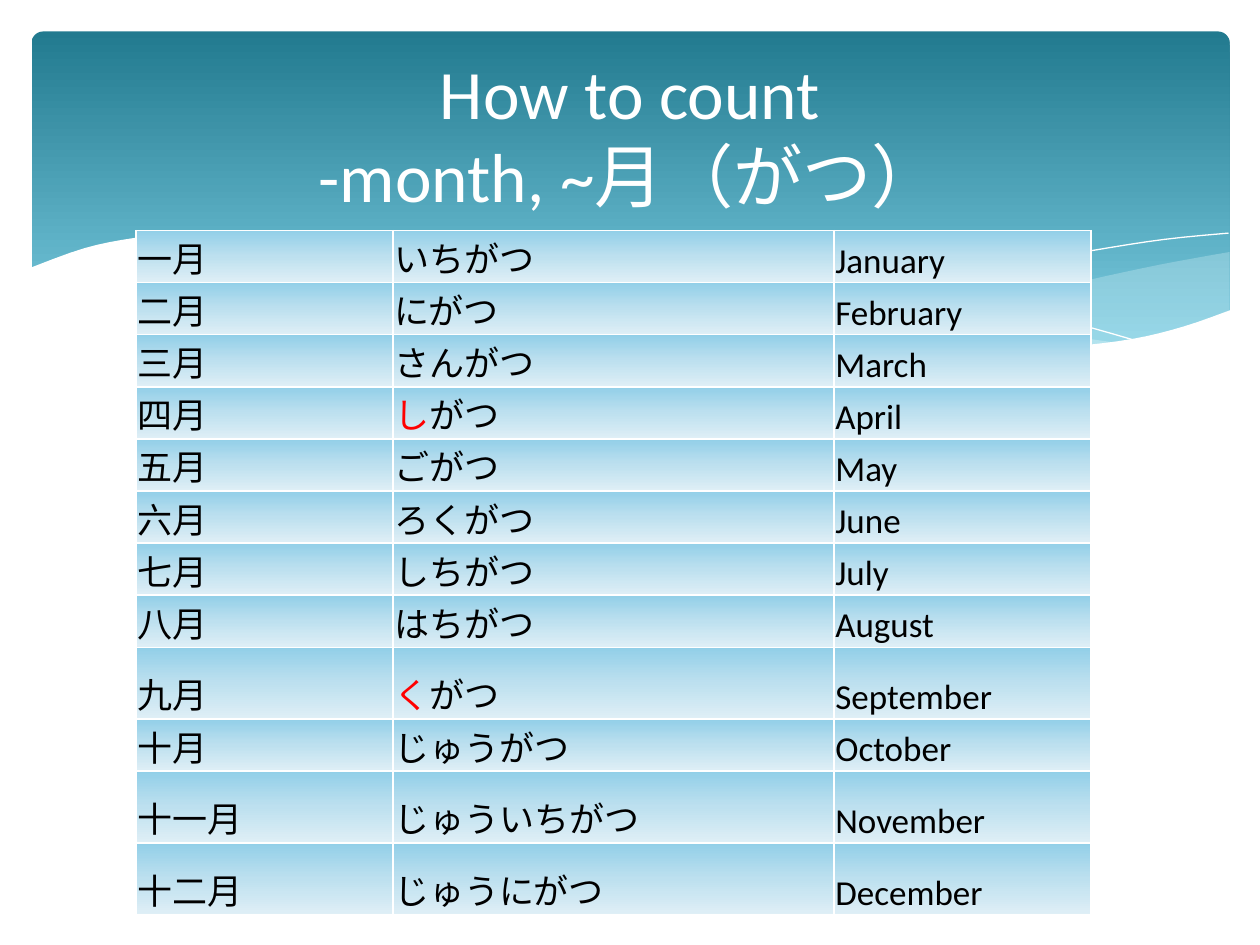
import pptx
import pptx.dml.color
import pptx.enum.shapes
import pptx.enum.text
import pptx.oxml
import pptx.oxml.ns
import pptx.util
from pptx.util import Inches

COLORS = {
    "white": "FFFFFF", "black": "000000", "red": "FF0000", "wave": "DEF5FA",
    "banner_top": "227A8F", "banner_bottom": "7ACBE0",
    "cell_top": "92CFE8", "cell_middle": "BDE0EF", "cell_bottom": "DFEFF6",
}
FONT = "Calibri"
BANNER_STOPS = {0: "banner_top", 90: "banner_bottom"}
CELL_STOPS = {0: "cell_top", 50: "cell_middle", 100: "cell_bottom"}

MONTHS = [
    ("一月", "いちがつ", "January"), ("二月", "にがつ", "February"),
    ("三月", "さんがつ", "March"), ("四月", "しがつ", "April"),
    ("五月", "ごがつ", "May"), ("六月", "ろくがつ", "June"),
    ("七月", "しちがつ", "July"), ("八月", "はちがつ", "August"),
    ("九月", "くがつ", "September"), ("十月", "じゅうがつ", "October"),
    ("十一月", "じゅういちがつ", "November"), ("十二月", "じゅうにがつ", "December"),
]
IRREGULAR_READINGS = {"しがつ", "くがつ"}
TALL_MONTHS = {"September", "November", "December"}
ROW_HEIGHT, TALL_ROW_HEIGHT = 0.38, 0.57
COLUMN_WIDTHS = [2.04, 3.5, 2.04]

CURVE_STEPS = 4
RIGHT_WAVE_TOP = [
    (9.76, 2), (9.21, 2.1), (8.61, 2.23), (8.05, 2.37), (7.53, 2.48), (7.06, 2.57), (6.61, 2.65)]
RIGHT_WAVE_BOTTOM = [
    (6.61, 2.65), (7.19, 2.72), (7.69, 2.77), (8.14, 2.78), (8.63, 2.75), (9.05, 2.69),
    (9.42, 2.59), (9.76, 2.47)]
MIDDLE_WAVE_TOP = [
    (8.93, 2.73), (8.37, 2.65), (7.75, 2.54), (7.06, 2.4), (6.29, 2.22), (5.69, 2.08),
    (5.14, 1.98), (4.65, 1.91), (4.2, 1.87), (3.8, 1.85), (3.28, 1.87), (2.86, 1.91)]
MIDDLE_WAVE_BOTTOM = [
    (2.86, 1.91), (3.42, 1.99), (4.04, 2.11), (4.49, 2.22), (5.3, 2.4), (6.01, 2.55),
    (6.65, 2.66), (7.22, 2.74), (7.73, 2.77), (8.18, 2.78), (8.57, 2.77), (8.93, 2.73)]
LONG_CURVE = [
    (3.09, 1.95), (3.53, 1.89), (4.01, 1.87), (4.5, 1.88), (5.1, 1.92), (5.82, 2),
    (6.65, 2.13), (7.27, 2.26), (7.95, 2.41), (8.69, 2.61), (9.07, 2.72)]
SHORT_CURVE = [
    (6.13, 2.57), (6.72, 2.41), (7.48, 2.23), (8.06, 2.1), (8.66, 1.99), (9.24, 1.9), (9.75, 1.85)]
PAGE_EDGE = [
    (9.77, 2.46), (9.4, 2.59), (8.99, 2.69), (8.5, 2.75), (8.09, 2.77), (7.44, 2.74),
    (6.88, 2.68), (6.26, 2.58), (5.55, 2.45), (5.03, 2.33), (4.47, 2.2), (3.91, 2.07),
    (3.4, 1.97), (2.92, 1.9), (2.5, 1.86), (1.93, 1.84), (1.46, 1.85), (1.06, 1.89),
    (0.67, 1.97), (0.23, 2.13)]
PAGE_CORNERS = [(0.23, 3.29), (9.77, 3.29)]


def rgb(name):
    """Return the named colour."""
    return pptx.dml.color.RGBColor.from_string(COLORS[name])


def drawing_xml(tag, attributes="", content=""):
    """Return a DrawingML element."""
    namespace = pptx.oxml.ns.nsdecls("a")
    return pptx.oxml.parse_xml(f"<a:{tag} {namespace} {attributes}>{content}</a:{tag}>")


def gradient_xml(stops):
    """Return a top-to-bottom gradient fill element."""
    marks = "".join(
        f'<a:gs pos="{percent * 1000}"><a:srgbClr val="{COLORS[name]}"/></a:gs>'
        for percent, name in stops.items())
    return drawing_xml("gradFill", 'rotWithShape="1"',
                       f'<a:gsLst>{marks}</a:gsLst><a:lin ang="5400000" scaled="0"/>')


def smooth(anchors):
    """Return points on a Catmull-Rom spline through the anchors."""
    padded = [anchors[0], *anchors, anchors[-1]]
    points = [anchors[0]]
    for before, start, end, after in zip(padded, padded[1:], padded[2:], padded[3:]):
        for step in range(1, CURVE_STEPS + 1):
            t = step / CURVE_STEPS
            points.append(tuple(
                b + (c - a) * t / 2
                + (2 * a - 5 * b + 4 * c - d) * t ** 2 / 2
                + (3 * b - a - 3 * c + d) * t ** 3 / 2
                for a, b, c, d in zip(before, start, end, after)))
    return points


def add_banner(page):
    """Add the rounded gradient banner."""
    banner = page.shapes.add_shape(
        pptx.enum.shapes.MSO_SHAPE.ROUNDED_RECTANGLE,
        Inches(0.25), Inches(0.25), Inches(9.51), Inches(2.7))
    banner.adjustments[0] = 0.034
    banner.shadow.inherit = False
    banner.line.fill.background()
    geometry = banner._element.spPr.find(pptx.oxml.ns.qn("a:prstGeom"))
    geometry.addnext(gradient_xml(BANNER_STOPS))


def add_outline(page, points, closed):
    """Add a freeform through points given in inches."""
    start, *others = [(Inches(x), Inches(y)) for x, y in points]
    builder = page.shapes.build_freeform(*start)
    builder.add_line_segments(others, close=closed)
    outline = builder.convert_to_shape()
    outline.shadow.inherit = False
    return outline


def add_area(page, points, color, opacity=100):
    """Add a filled area without an outline."""
    area = add_outline(page, points, closed=True)
    area.line.fill.background()
    area.fill.solid()
    area.fill.fore_color.rgb = rgb(color)
    if opacity < 100:
        tint = area._element.spPr.find(".//" + pptx.oxml.ns.qn("a:srgbClr"))
        tint.append(drawing_xml("alpha", f'val="{opacity * 1000}"'))


def add_curve(page, anchors):
    """Add a white hairline curve."""
    curve = add_outline(page, smooth(anchors), closed=False)
    curve.fill.background()
    curve.line.color.rgb = rgb("white")
    curve.line.width = pptx.util.Pt(0)


def add_waves(page):
    """Add the translucent waves, the hairlines and the white page edge."""
    add_area(page, smooth(RIGHT_WAVE_TOP) + smooth(RIGHT_WAVE_BOTTOM), "wave", 29)
    add_area(page, smooth(MIDDLE_WAVE_TOP) + smooth(MIDDLE_WAVE_BOTTOM), "wave", 40)
    for anchors in (LONG_CURVE, SHORT_CURVE):
        add_curve(page, anchors)
    add_area(page, smooth(PAGE_EDGE) + PAGE_CORNERS, "white")


def style_cell(cell):
    """Set the margins, borders and gradient of a cell."""
    cell.vertical_anchor = pptx.enum.text.MSO_ANCHOR.BOTTOM
    cell.margin_left = cell.margin_right = cell.margin_top = Inches(0.01)
    cell.margin_bottom = 0
    properties = cell._tc.get_or_add_tcPr()
    border = f'<a:solidFill><a:srgbClr val="{COLORS["white"]}"/></a:solidFill>'
    for side in "LRTB":
        properties.append(drawing_xml(f"ln{side}", f'w="{pptx.util.Pt(1)}"', border))
    properties.append(gradient_xml(CELL_STOPS))


def write_cell(cell, text):
    """Write a cell, with the first kana of an irregular reading in red."""
    paragraph = cell.text_frame.paragraphs[0]
    paragraph.font.name = FONT
    paragraph.font.size = pptx.util.Pt(20)
    marked = 1 if text in IRREGULAR_READINGS else 0
    for part, color in ((text[:marked], "red"), (text[marked:], "black")):
        if part:
            span = paragraph.add_run()
            span.text = part
            span.font.color.rgb = rgb(color)


def add_months(page):
    """Add the table of months."""
    heights = [TALL_ROW_HEIGHT if english in TALL_MONTHS else ROW_HEIGHT
               for kanji, reading, english in MONTHS]
    table = page.shapes.add_table(
        len(MONTHS), len(COLUMN_WIDTHS), Inches(1.08), Inches(1.83),
        Inches(sum(COLUMN_WIDTHS)), Inches(sum(heights))).table
    table.first_row = table.horz_banding = False
    for column, width in zip(table.columns, COLUMN_WIDTHS):
        column.width = Inches(width)
    for row, height, month in zip(table.rows, heights, MONTHS):
        row.height = Inches(height)
        for cell, text in zip(row.cells, month):
            style_cell(cell)
            write_cell(cell, text)


def place_title(page):
    """Format the title and bring it to the front."""
    title = page.shapes.title
    title.left, title.top = Inches(0.5), Inches(0.37)
    title.width, title.height = Inches(9), Inches(1.37)
    title.text_frame.text = "How to count\v-month, ~月（がつ）"
    title.text_frame.vertical_anchor = pptx.enum.text.MSO_ANCHOR.MIDDLE
    paragraph = title.text_frame.paragraphs[0]
    paragraph.alignment = pptx.enum.text.PP_ALIGN.CENTER
    paragraph.font.name = FONT
    paragraph.font.size = pptx.util.Pt(39.6)
    paragraph.font.color.rgb = rgb("white")
    page.shapes._spTree.append(title._element)


def main():
    """Build and save the slide."""
    deck = pptx.Presentation()
    deck.slide_width, deck.slide_height = Inches(10), Inches(7.5)
    page = deck.slides.add_slide(deck.slide_layouts[5])
    add_banner(page)
    add_waves(page)
    add_months(page)
    place_title(page)
    deck.save("out.pptx")


if __name__ == "__main__":
    main()
